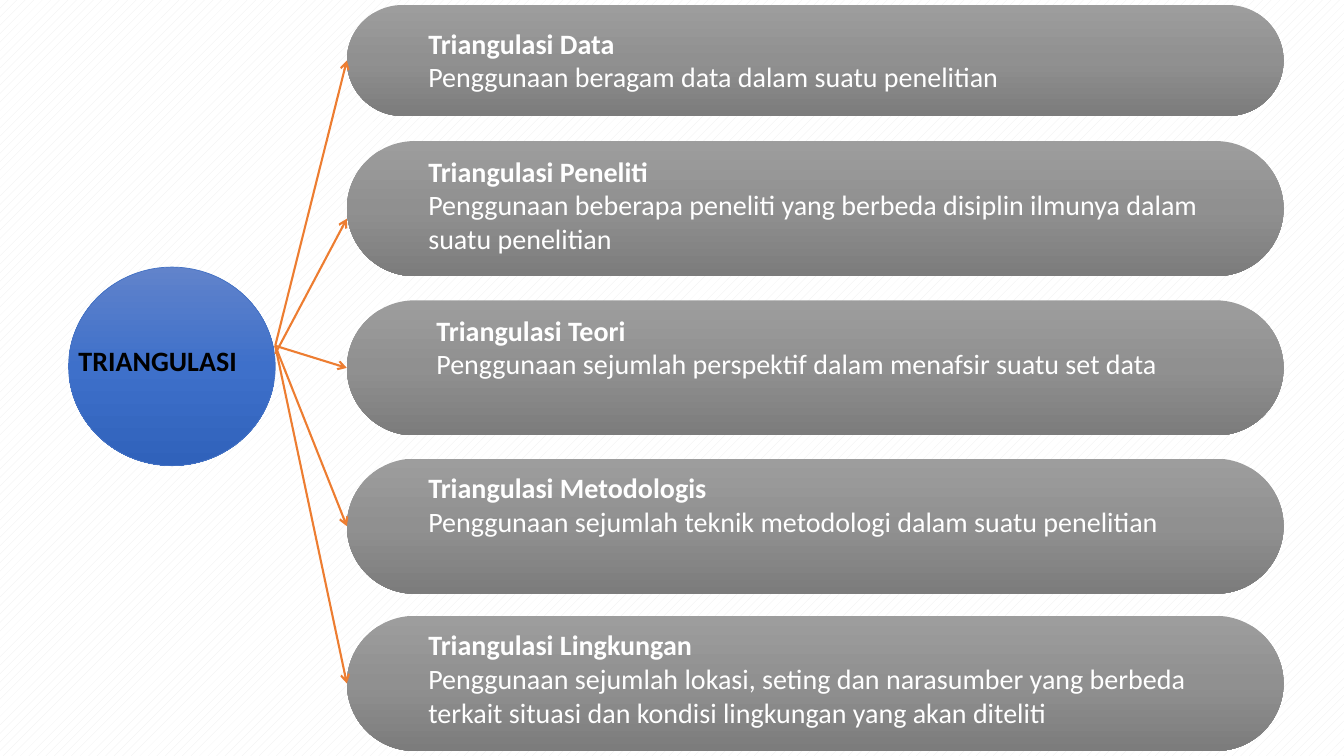
from copy import deepcopy

from lxml.etree import SubElement
from pptx import Presentation
from pptx.dml.color import RGBColor
from pptx.enum.dml import MSO_PATTERN
from pptx.enum.shapes import MSO_CONNECTOR, MSO_SHAPE
from pptx.enum.text import MSO_AUTO_SIZE
from pptx.oxml.ns import qn
from pptx.util import Inches, Pt

WHITE = RGBColor(0xFF, 0xFF, 0xFF)
BLACK = RGBColor(0x00, 0x00, 0x00)
PALE_GRAY = RGBColor(0xED, 0xED, 0xED)
ORANGE = RGBColor(0xED, 0x7D, 0x31)
BLUE = RGBColor(0x44, 0x72, 0xC4)
GRAYS = [RGBColor(0x9D, 0x9D, 0x9D), RGBColor(0x90, 0x90, 0x90), RGBColor(0x7C, 0x7C, 0x7C)]
BLUES = [RGBColor(0x61, 0x83, 0xCB), RGBColor(0x3E, 0x70, 0xCA), RGBColor(0x30, 0x62, 0xBB)]

presentation = Presentation()
presentation.slide_width = Inches(13.33)
presentation.slide_height = Inches(7.5)
slide = presentation.slides.add_slide(presentation.slide_layouts[6])
backdrop = slide.background.fill
backdrop.patterned()
backdrop.pattern = MSO_PATTERN.DASHED_UPWARD_DIAGONAL
backdrop.fore_color.rgb = PALE_GRAY
backdrop.back_color.rgb = WHITE


def add_text(heading, detail=None, *, left, top, width, height, color):
    box = slide.shapes.add_textbox(Inches(left), Inches(top), Inches(width), Inches(height))
    frame = box.text_frame
    frame.word_wrap = True
    frame.auto_size = MSO_AUTO_SIZE.SHAPE_TO_FIT_TEXT
    frame.text = f"{heading}\n{detail}" if detail else heading
    for index, paragraph in enumerate(frame.paragraphs):
        font = paragraph.runs[0].font
        font.name = "Calibri"
        font.size = Pt(20)
        font.bold = index == 0
        font.color.rgb = color


def add_gradient_shape(kind, left, top, width, height, colors):
    shape = slide.shapes.add_shape(kind, Inches(left), Inches(top), Inches(width), Inches(height))
    shape.shadow.inherit = False
    shape.line.fill.background()
    shape.fill.gradient()
    shape.fill.gradient_angle = 270
    stop_list = shape._element.spPr.find(qn("a:gradFill")).find(qn("a:gsLst"))
    stop_list.insert(1, deepcopy(stop_list[0]))
    for stop, color, position in zip(shape.fill.gradient_stops, colors, (0, 0.5, 1)):
        stop.color.rgb = color
        stop.position = position
    return shape


BAR_LEFT, BAR_WIDTH = 3.44, 9.29
HUB_LEFT, HUB_WIDTH = 0.68, 2.05
HUB_RIGHT = HUB_LEFT + HUB_WIDTH

hub = add_gradient_shape(MSO_SHAPE.OVAL, HUB_LEFT, 2.65, HUB_WIDTH, 1.97, BLUES)
hub.line.color.rgb = BLUE
hub.line.width = Pt(0.5)
add_text("TRIANGULASI", left=HUB_LEFT, top=3.36, width=2.21, height=0.44, color=BLACK)

kinds = [
    ("Triangulasi Data", "Penggunaan beragam data dalam suatu penelitian",
     0.05, 1.1, 4.15, 0.21, 0.77, 3.43, 0.6),
    ("Triangulasi Peneliti",
     "Penggunaan beberapa peneliti yang berbeda disiplin ilmunya dalam suatu penelitian",
     1.4, 1.34, 4.15, 1.48, 1.11, 3.51, 2.17),
    ("Triangulasi Teori", "Penggunaan sejumlah perspektif dalam menafsir suatu set data",
     2.98, 1.34, 4.23, 3.06, 0.77, 3.43, 3.65),
    ("Triangulasi Metodologis", "Penggunaan sejumlah teknik metodologi dalam suatu penelitian",
     4.55, 1.34, 4.15, 4.62, 0.77, 3.43, 5.22),
    ("Triangulasi Lingkungan",
     "Penggunaan sejumlah lokasi, seting dan narasumber yang berbeda terkait situasi dan "
     "kondisi lingkungan yang akan diteliti",
     6.11, 1.34, 4.15, 6.18, 1.11, 3.43, 6.78),
]

for (heading, detail, bar_top, bar_height, text_left, text_top, text_height,
     arrow_start, arrow_end) in kinds:
    bar = add_gradient_shape(MSO_SHAPE.ROUNDED_RECTANGLE, BAR_LEFT, bar_top, BAR_WIDTH,
                             bar_height, GRAYS)
    bar.adjustments[0] = 0.5
    add_text(heading, detail, left=text_left, top=text_top, width=8.03, height=text_height,
             color=WHITE)
    arrow = slide.shapes.add_connector(MSO_CONNECTOR.STRAIGHT, Inches(HUB_RIGHT),
                                       Inches(arrow_start), Inches(BAR_LEFT), Inches(arrow_end))
    arrow.line.color.rgb = ORANGE
    arrow.line.width = Pt(1.5)
    SubElement(arrow.line._get_or_add_ln(), qn("a:tailEnd"), type="arrow")
    SubElement(arrow._element.spPr, qn("a:effectLst"))

presentation.save("out.pptx")
